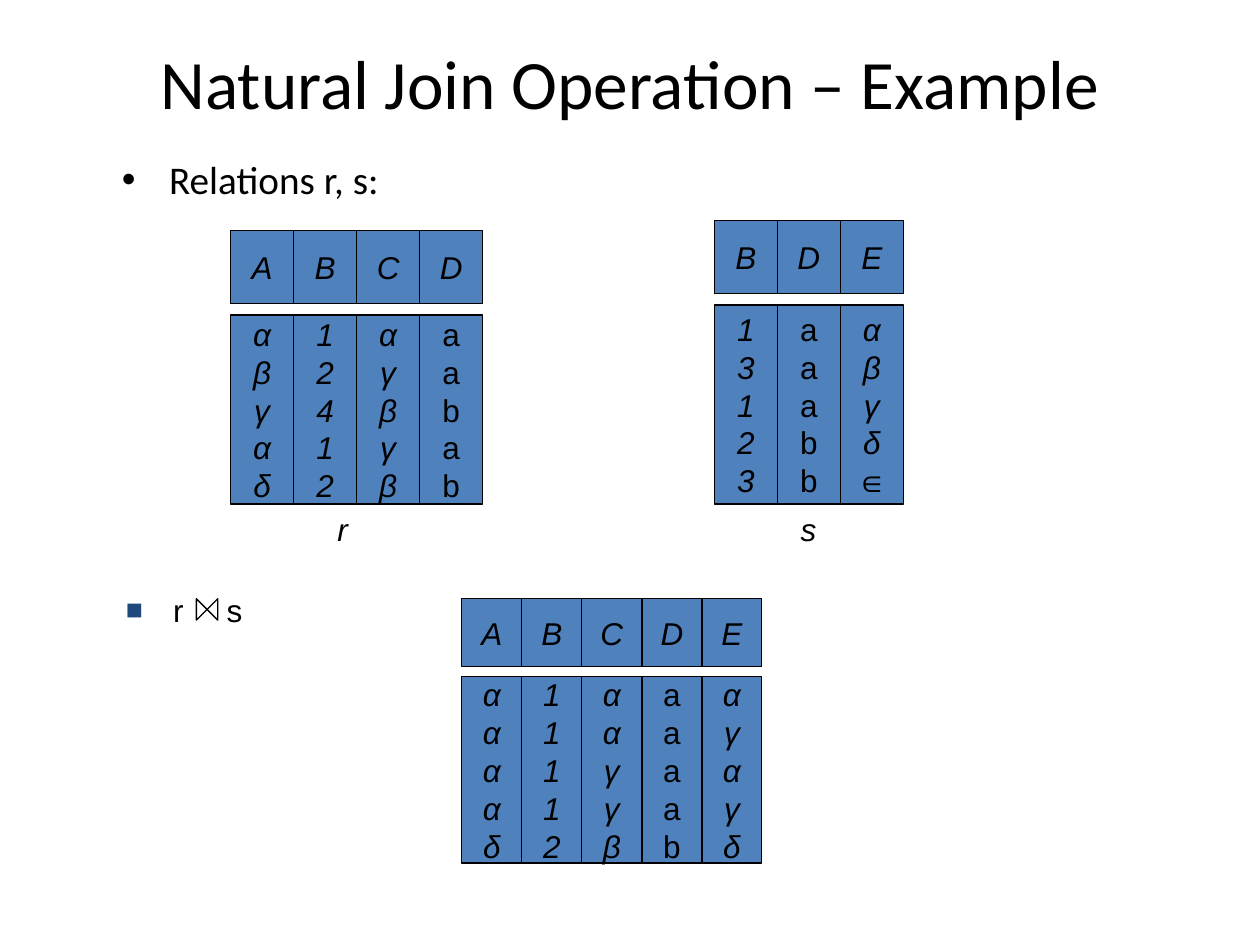
from dataclasses import dataclass

from lxml import etree
from pptx import Presentation
from pptx import util as u
from pptx.dml.color import RGBColor
from pptx.enum import shapes, text
from pptx.oxml.ns import qn


@dataclass(frozen=True)
class Theme:
    ink: RGBColor = RGBColor(0x00, 0x00, 0x00)
    cell: RGBColor = RGBColor(0x4F, 0x81, 0xBD)
    accent: str = "1F497D"
    heading_font: str = "Calibri"
    body_font: str = "Arial"
    title_size: float = 39.6
    lead_size: float = 22.4
    body_size: float = 18
    line_width: float = 0.75


class SlideBuilder:
    def __init__(self, slide, theme):
        self.slide = slide
        self.theme = theme

    def set_lines(self, shape, lines, align=text.PP_ALIGN.CENTER, **changes):
        """Fill a shape with one paragraph per line."""
        frame = shape.text_frame
        frame.text = "\n".join(lines)
        font_format = {
            "name": self.theme.body_font,
            "size": self.theme.body_size,
            "italic": False,
            **changes,
        }
        font_format["size"] = u.Pt(font_format["size"])
        for paragraph in frame.paragraphs:
            paragraph.alignment = align
            for run in paragraph.runs:
                for name, value in font_format.items():
                    setattr(run.font, name, value)
                run.font.color.rgb = self.theme.ink

    def text_box(self, box, line, wrap=True, anchor=text.MSO_ANCHOR.MIDDLE, **style):
        shape = self.slide.shapes.add_textbox(*map(u.Cm, box))
        shape.text_frame.word_wrap = wrap
        shape.text_frame.vertical_anchor = anchor
        self.set_lines(shape, [line], **style)
        return shape

    def bullet(self, box, line, mark, color=None, percent=100, tab=None, **style):
        shape = self.text_box(box, line, anchor=text.MSO_ANCHOR.TOP,
                              align=text.PP_ALIGN.LEFT, **style)
        properties = shape.text_frame.paragraphs[0]._p.get_or_add_pPr()
        properties.set("marL", str(u.Cm(0.95)))
        properties.set("indent", str(-u.Cm(0.95)))

        def add(parent, tag, **attributes):
            return etree.SubElement(parent, qn(tag), attributes)

        if color:
            add(add(properties, "a:buClr"), "a:srgbClr", val=color)
        add(properties, "a:buSzPct", val=str(percent * 1000))
        add(properties, "a:buFont", typeface=self.theme.body_font)
        add(properties, "a:buChar", char=mark)
        if tab:
            add(add(properties, "a:tabLst"), "a:tab", pos=str(u.Cm(tab)), algn="l")

    def outline(self, kind, box):
        shape = self.slide.shapes.add_shape(kind, *map(u.Cm, box))
        shape.shadow.inherit = False
        shape.fill.background()
        shape.line.color.rgb = self.theme.ink
        shape.line.width = u.Pt(self.theme.line_width)
        return shape

    def cell(self, box, lines, italic):
        shape = self.outline(shapes.MSO_SHAPE.RECTANGLE, box)
        shape.fill.solid()
        shape.fill.fore_color.rgb = self.theme.cell
        shape.text_frame.word_wrap = False
        shape.text_frame.vertical_anchor = text.MSO_ANCHOR.MIDDLE
        self.set_lines(shape, lines, italic=italic)

    def relation(self, left, column_width, header, body, columns):
        """Draw a relation; header and body are (top, height) bands."""
        for index, (attribute, values) in enumerate(columns.items()):
            x = left + index * column_width
            self.cell((x, header[0], column_width, header[1]), attribute, True)
            self.cell((x, body[0], column_width, body[1]), values, attribute != "D")

    def bowtie(self, box):
        shape = self.outline(shapes.MSO_SHAPE.FLOWCHART_COLLATE, box)
        shape.rotation = 270


def main():
    presentation = Presentation()
    presentation.slide_width = u.Cm(25.4)
    presentation.slide_height = u.Cm(19.05)
    slide = presentation.slides.add_slide(presentation.slide_layouts[6])
    theme = Theme()
    builder = SlideBuilder(slide, theme)

    builder.text_box((1.27, 0.76, 22.86, 1.78), "Natural Join Operation – Example",
                     name=theme.heading_font, size=theme.title_size)
    builder.bullet((2.21, 3, 19, 1.07), "Relations r, s:", "•",
                   name=theme.heading_font, size=theme.lead_size)

    builder.relation(4.65, 1.27, (4.65, 1.47), (6.35, 3.81),
                     {"A": "αβγαδ", "B": "12412", "C": "αγβγβ", "D": "aabab"})
    builder.relation(14.4, 1.27, (4.45, 1.47), (6.15, 4.01),
                     {"B": "13123", "D": "aaabb", "E": "αβγδ∈"})
    builder.relation(9.31, 1.21, (12.07, 1.37), (13.64, 3.76),
                     {"A": "ααααδ", "B": "11112", "C": "ααγγβ",
                      "D": "aaaab", "E": "αγαγδ"})

    for name, left, width in (("r", 6.55, 0.71), ("s", 15.88, 0.84)):
        builder.text_box((left, 10.16, width, 1.02), name, wrap=False, italic=True)

    builder.bullet((2.29, 11.79, 19.53, 1.14), "r\ts", "■",
                   color=theme.accent, percent=90, tab=2.03)
    builder.bowtie((3.96, 12.07, 0.43, 0.43))

    presentation.save("out.pptx")


if __name__ == "__main__":
    main()
